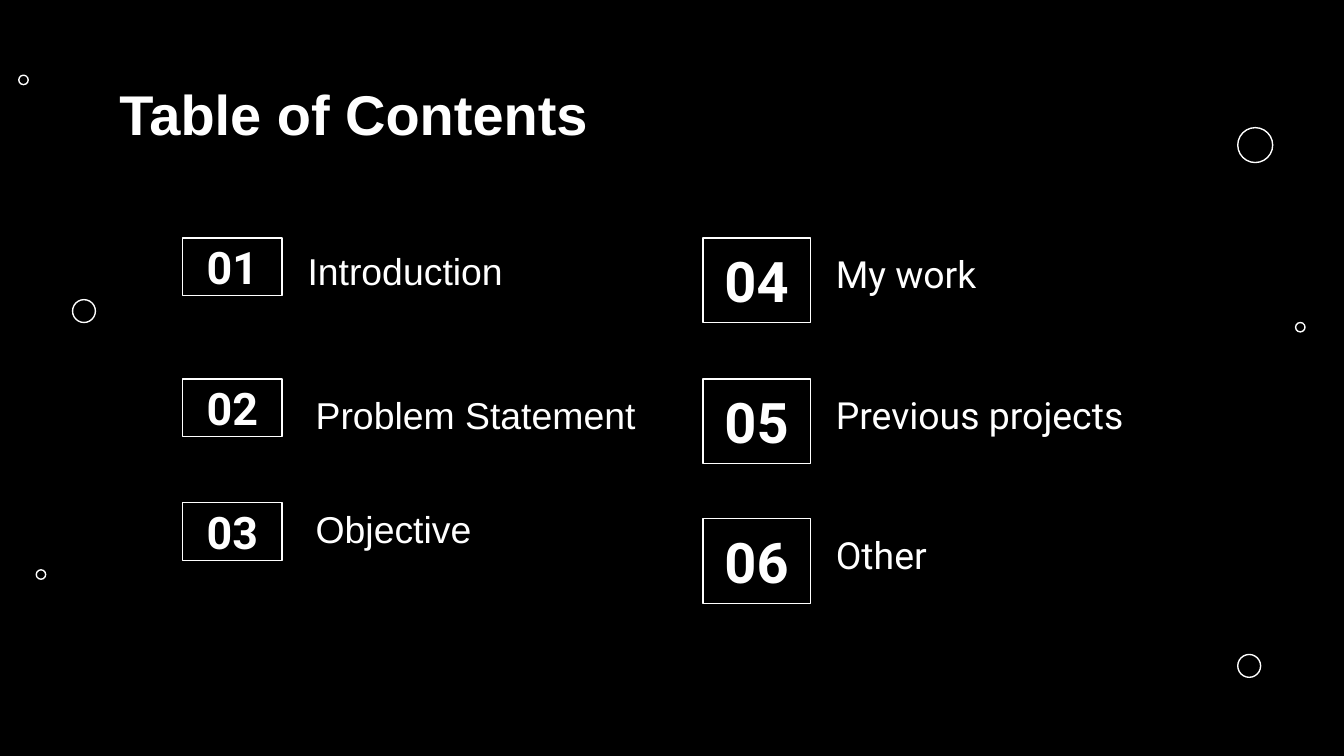
from pptx import Presentation
from pptx.dml.color import RGBColor
from pptx.enum import shapes, text
from pptx.util import Inches, Pt

THEME = {
    "background": RGBColor(0, 0, 0),
    "ink": RGBColor(255, 255, 255),
    "outline": Pt(0.75),
    "title_size": 30,
    "entry_size": 20,
    "latin": "Arial",
    "accent": "Roboto",
}

TITLE = "Table of Contents"
COLUMNS = [
    {
        "number_left": 1.36, "number_box": (0.74, 0.43),
        "number_size": 24, "font": THEME["latin"],
        "entries": [
            ("Introduction", 1.77, (2.19, 1.75, 2.37, 0.43)),
            ("Problem Statement", 2.82, (2.25, 2.82, 2.68, 0.63)),
            ("Objective", 3.74, (2.25, 3.67, 2.52, 0.63)),
        ],
    },
    {
        "number_left": 5.23, "number_box": (0.8, 0.63),
        "number_size": 30, "font": THEME["accent"],
        "entries": [
            (label, top, (6.12, top, 2.52, 0.63))
            for label, top in [("My work", 1.77), ("Previous projects", 2.82), ("Other", 3.86)]
        ],
    },
]
CIRCLES = {
    0.07: [(0.27, 4.24), (9.64, 2.4), (0.14, 0.56)],
    0.17: [(9.21, 4.87), (0.54, 2.23)],
    0.26: [(9.21, 0.95)],
}


def write(frame, words, font, size, bold=False, align=text.PP_ALIGN.LEFT,
          anchor=text.MSO_ANCHOR.TOP):
    layout = {"word_wrap": True, "vertical_anchor": anchor}
    layout.update({f"margin_{side}": Inches(0.1) for side in ("left", "right", "top", "bottom")})
    for key, value in layout.items():
        setattr(frame, key, value)
    paragraph = frame.paragraphs[0]
    paragraph.alignment = align
    run = paragraph.add_run()
    run.text = words
    for key, value in {"name": font, "size": Pt(size), "bold": bold}.items():
        setattr(run.font, key, value)
    run.font.color.rgb = THEME["ink"]


def add_label(slide, box, words, font, size, bold=False):
    label = slide.shapes.add_textbox(*map(Inches, box))
    write(label.text_frame, words, font, size, bold)


def add_outline(slide, kind, box):
    outline = slide.shapes.add_shape(kind, *map(Inches, box))
    outline.shadow.inherit = False
    outline.fill.background()
    outline.line.color.rgb = THEME["ink"]
    outline.line.width = THEME["outline"]
    return outline


def main():
    deck = Presentation()
    deck.slide_width = Inches(10)
    deck.slide_height = Inches(10 * 9 / 16)
    slide = deck.slides.add_slide(deck.slide_layouts[6])
    slide.background.fill.solid()
    slide.background.fill.fore_color.rgb = THEME["background"]

    for diameter, corners in CIRCLES.items():
        for left, top in corners:
            add_outline(slide, shapes.MSO_SHAPE.OVAL, (left, top, diameter, diameter))

    add_label(slide, (0.79, 0.49, 8.43, 0.63), TITLE, THEME["latin"], THEME["title_size"], True)

    number = 0
    for column in COLUMNS:
        for entry, top, entry_box in column["entries"]:
            number += 1
            number_box = add_outline(slide, shapes.MSO_SHAPE.RECTANGLE,
                                     (column["number_left"], top, *column["number_box"]))
            write(number_box.text_frame, f"{number:02d}", THEME["accent"], column["number_size"],
                  True, text.PP_ALIGN.CENTER, text.MSO_ANCHOR.MIDDLE)
            add_label(slide, entry_box, entry, column["font"], THEME["entry_size"])

    deck.save("out.pptx")


if __name__ == "__main__":
    main()
